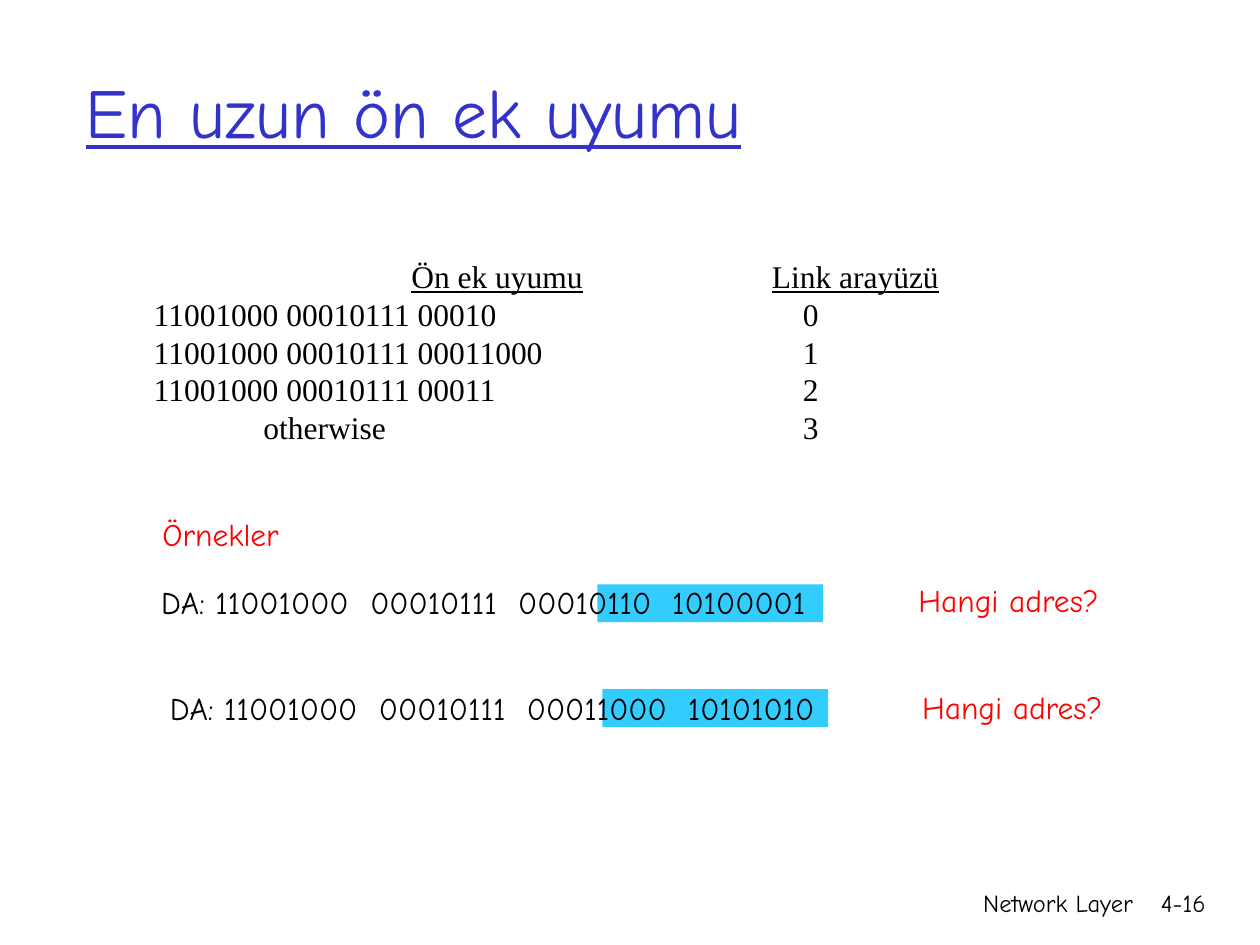
"""Build the longest prefix matching slide."""
from pptx import Presentation
from pptx.dml.color import RGBColor
from pptx.enum.shapes import MSO_SHAPE
from pptx.enum.text import MSO_ANCHOR as Anchor, PP_ALIGN as Align
from pptx.oxml.ns import qn
from pptx.util import Pt
from lxml.etree import SubElement

COLORS = {"ink": "000000", "title": "3333CC", "accent": "FF0000", "host": "33CCFF"}


def write(paragraph, text, font="Comic Neue", size=18, color="ink", underline=False,
          align=Align.LEFT, tabs=(), spacing=None):
    """Fill a paragraph, leaving its tabs free of underline."""
    if tabs:
        stops = SubElement(paragraph._p.get_or_add_pPr(), qn("a:tabLst"))
        for stop in tabs:
            SubElement(stops, qn("a:tab"), pos=str(Pt(stop)), algn="l")
    paragraph.alignment = align
    if spacing:
        paragraph.line_spacing = Pt(spacing)
    for part in text.replace("\t", "|\t|").split("|"):
        if part:
            run = paragraph.add_run()
            run.text = part
            run.font.name = font
            run.font.size = Pt(size)
            run.font.underline = underline and part != "\t"
            run.font.color.rgb = RGBColor.from_string(COLORS[color])


class Deck:
    """Hold the presentation, its current slide and its element style."""

    def __init__(self, width, height):
        self.file = Presentation()
        self.file.slide_width, self.file.slide_height = Pt(width), Pt(height)
        self.slide = self.file.slides.add_slide(self.file.slide_layouts[5])

    def title(self, text, left, top, width, height):
        """Move the title placeholder and fill it."""
        heading = self.slide.shapes.title
        heading.left, heading.top = Pt(left), Pt(top)
        heading.width, heading.height = Pt(width), Pt(height)
        heading.text_frame.vertical_anchor = Anchor.MIDDLE
        write(heading.text_frame.paragraphs[0], text, size=40, color="title", underline=True)

    def text(self, lines, left, top, width, height, anchor=Anchor.TOP):
        """Add a text box from pairs of text and format."""
        frame = self.slide.shapes.add_textbox(
            Pt(left), Pt(top), Pt(width), Pt(height)).text_frame
        frame.word_wrap = True
        frame.vertical_anchor = anchor
        for index, (line, style) in enumerate(lines):
            paragraph = frame.add_paragraph() if index else frame.paragraphs[0]
            write(paragraph, line, **style)

    def band(self, left, top, width, height):
        """Add a plain rectangle that marks the host bits."""
        band = self.slide.shapes.add_shape(
            MSO_SHAPE.RECTANGLE, Pt(left), Pt(top), Pt(width), Pt(height))
        band.shadow.inherit = False
        band.fill.solid()
        band.fill.fore_color.rgb = RGBColor.from_string(COLORS["host"])
        band.line.fill.background()


def main():
    """Lay out the slide and save it."""
    deck = Deck(720, 540)
    deck.title("En uzun ön ek uyumu", 41.8, 18, 612, 90)

    footer = {"size": 14, "align": Align.RIGHT}
    deck.text([("Network Layer", footer)], 426, 504, 228.5, 36)
    deck.text([("4-16", footer)], 643, 504, 53, 36)

    serif = {"font": "Times New Roman", "spacing": 21.6}
    row = serif | {"tabs": (44.8, 415.7)}
    deck.text([
        ("\tÖn ek uyumu\tLink arayüzü", serif | {"tabs": (192, 398), "underline": True}),
        ("\t11001000 00010111 00010\t0", row),
        ("\t11001000 00010111 00011000\t1", row),
        ("\t11001000 00010111 00011\t2", row),
        ("\totherwise\t3", serif | {"tabs": (107.5, 415.7)}),
    ], 36, 143.3, 508.3, 115.2, Anchor.MIDDLE)

    question = {"color": "accent"}
    deck.text([("Örnekler", question)], 85.7, 290.9, 84, 28.8)

    examples = [
        ("DA: 11001000\t00010111\t00010110\t10100001", 292, 85, 329.8, 341.3, 334, 517.7, 328.3),
        ("DA: 11001000\t00010111\t00011000\t10101010", 296, 90, 390.2, 344.2, 393.8, 519.8, 389.5),
    ]
    for address, last, left, top, band_left, band_top, ask_left, ask_top in examples:
        deck.band(band_left, band_top, 129, 21.6)
        deck.text([(address, {"tabs": (119.5, 204, last)})], left, top, 388, 28.8)
        deck.text([("Hangi adres?", question)], ask_left, ask_top, 120, 28.8)

    deck.file.save("out.pptx")


if __name__ == "__main__":
    main()
